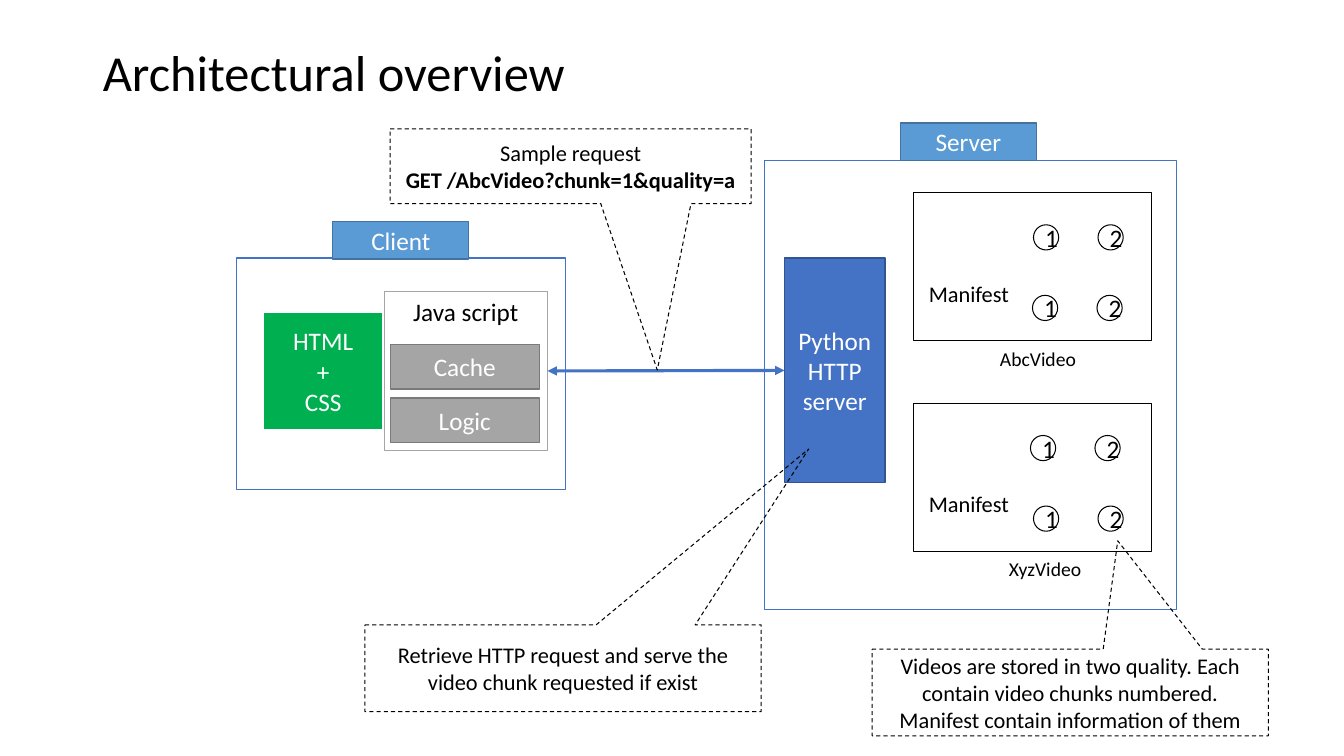
"""Build the architectural overview slide: client, server and their callouts."""
from lxml.etree import SubElement
from pptx import Presentation
from pptx.dml.color import RGBColor
from pptx.enum.dml import MSO_LINE
from pptx.enum.shapes import MSO_CONNECTOR, MSO_SHAPE
from pptx.enum.text import MSO_ANCHOR, MSO_AUTO_SIZE, PP_ALIGN
from pptx.oxml.ns import qn
from pptx.util import Pt

PX = 9144
FONT = "Calibri"
BLACK = RGBColor(0x00, 0x00, 0x00)
WHITE = RGBColor(0xFF, 0xFF, 0xFF)
BLUE = RGBColor(0x44, 0x72, 0xC4)
DARK_BLUE = RGBColor(0x32, 0x54, 0x91)
LIGHT_BLUE = RGBColor(0x5B, 0x9B, 0xD5)
STEEL_BLUE = RGBColor(0x43, 0x73, 0x9E)
GREEN = RGBColor(0x00, 0xB0, 0x50)
GRAY = RGBColor(0xA5, 0xA5, 0xA5)
DARK_GRAY = RGBColor(0x7A, 0x7A, 0x7A)


def scaled(*lengths):
    """Turn px lengths into EMU."""
    return [length * PX for length in lengths]


def write(shape, lines, size, color, align=PP_ALIGN.CENTER, anchor=MSO_ANCHOR.MIDDLE):
    """Fill a shape with one formatted paragraph per line."""
    frame = shape.text_frame
    frame.text = "\n".join(lines)
    frame.vertical_anchor = anchor
    for paragraph in frame.paragraphs:
        paragraph.alignment = align
        paragraph.font.size = Pt(size)
        paragraph.font.name = FONT
        paragraph.font.color.rgb = color


def add_title(page, text):
    """Place and format the title placeholder."""
    title = page.shapes.title
    title.left, title.top, title.width, title.height = scaled(92, 40, 1150, 70)
    write(title, [text], 36, BLACK, PP_ALIGN.LEFT)
    title.text_frame.auto_size = MSO_AUTO_SIZE.NONE
    title.text_frame.paragraphs[0].line_spacing = 0.9


def add_box(page, bounds, line, fill=None, width=0.75, kind=MSO_SHAPE.RECTANGLE):
    """Add an outlined shape, filled only if a fill is given."""
    box = page.shapes.add_shape(kind, *scaled(*bounds))
    box.shadow.inherit = False
    if fill is None:
        box.fill.background()
    else:
        box.fill.solid()
        box.fill.fore_color.rgb = fill
    box.line.color.rgb = line
    box.line.width = Pt(width)
    return box


def add_block(page, bounds, lines, fill, line, width=1):
    """Add a filled rectangle with white text."""
    block = add_box(page, bounds, line, fill, width)
    write(block, lines, 18, WHITE)
    return block


def add_label(page, bounds, text, size):
    """Add a centred text box."""
    label = page.shapes.add_textbox(*scaled(*bounds))
    label.text_frame.word_wrap = True
    write(label, [text], size, BLACK)


def add_chunk_row(page, left, top):
    """Add the numbered circles of one quality level."""
    for index in range(2):
        circle = add_box(page, (left + 64 * index, top, 25, 25), BLACK, kind=MSO_SHAPE.OVAL)
        write(circle, [str(index + 1)], 18, BLACK)


def add_video(page, top, name, name_left, rows):
    """Add a stored video with its manifest, name and chunks."""
    add_box(page, (906, top, 236, 147), BLACK)
    add_label(page, (906, top + 86, 110, 28), "Manifest", 16)
    add_label(page, (name_left, top + 142, 155, 45), name, 14)
    for left, row_top in rows:
        add_chunk_row(page, left, row_top)


def add_callout(page, bounds, tip, lines):
    """Add a dashed callout whose tip is given relative to its size."""
    callout = add_box(page, bounds, BLACK, kind=MSO_SHAPE.RECTANGULAR_CALLOUT)
    callout.line.dash_style = MSO_LINE.DASH
    callout.adjustments[0], callout.adjustments[1] = tip
    write(callout, lines, 16, BLACK)
    return callout


def add_link(page, start, end):
    """Join the right side of one box to the left side of another."""
    link = page.shapes.add_connector(MSO_CONNECTOR.STRAIGHT, 0, 0, 0, 0)
    link.begin_connect(start, 3)
    link.end_connect(end, 1)
    link.line.color.rgb = BLUE
    link.line.width = Pt(2.25)
    for arrow in ("a:headEnd", "a:tailEnd"):
        SubElement(link.line._get_or_add_ln(), qn(arrow), type="triangle")
    SubElement(link._element.spPr, qn("a:effectLst"))


def add_client(page):
    """Add the client panel and return its script box."""
    add_box(page, (235, 256, 326, 230), BLUE)
    add_block(page, (330, 220, 135, 37), ["Client"], LIGHT_BLUE, STEEL_BLUE)
    add_block(page, (261, 309, 119, 118), ["HTML", "+", "CSS"], GREEN, WHITE, 1.5)
    script_box = add_box(page, (381, 289, 162, 158), GRAY)
    write(script_box, ["Java script"], 18, BLACK, anchor=MSO_ANCHOR.TOP)
    for index, name in enumerate(("Cache", "Logic")):
        add_block(page, (387, 342 + 53 * index, 148, 44), [name], GRAY, DARK_GRAY)
    return script_box


def add_server(page):
    """Add the server panel and return its HTTP server block."""
    add_box(page, (758, 159, 409, 446), BLUE)
    add_block(page, (893, 122, 135, 37), ["Server"], LIGHT_BLUE, STEEL_BLUE)
    add_video(page, 191, "AbcVideo", 952, [(1025, 223), (1024, 293)])
    add_video(page, 400, "XyzVideo", 959, [(1022, 432), (1025, 502)])
    return add_block(page, (778, 256, 100, 223), ["Python HTTP server"], BLUE, DARK_BLUE)


def main():
    """Build and save the deck."""
    deck = Presentation()
    deck.slide_width, deck.slide_height = scaled(1333, 750)
    page = deck.slides.add_slide(deck.slide_layouts[5])
    add_title(page, "Architectural overview")
    script_box = add_client(page)
    http_server = add_server(page)
    add_link(page, script_box, http_server)
    request = add_callout(page, (387, 128, 358, 74), (0.24, 2.73),
                          ["Sample request", "GET /AbcVideo?chunk=1&quality=a"])
    request.text_frame.paragraphs[1].font.bold = True
    add_callout(page, (865, 644, 393, 86), (0.12, -1.75),
                ["Videos are stored in two quality. Each contain video chunks numbered. "
                 "Manifest contain information of them"])
    add_callout(page, (362, 620, 393, 86), (0.62, -2.53),
                ["Retrieve HTTP request and serve the video chunk requested if exist"])
    deck.save("out.pptx")


if __name__ == "__main__":
    main()
